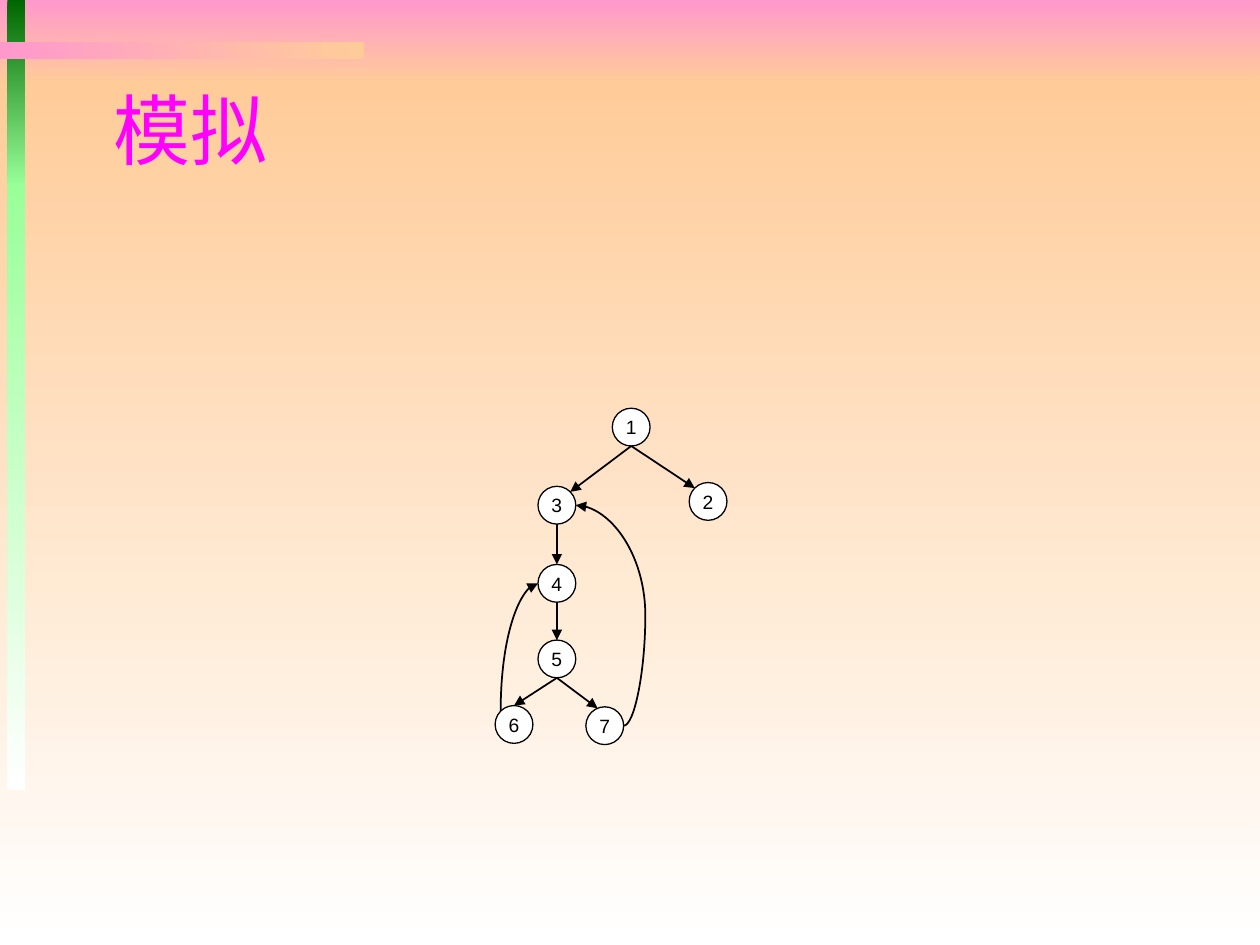
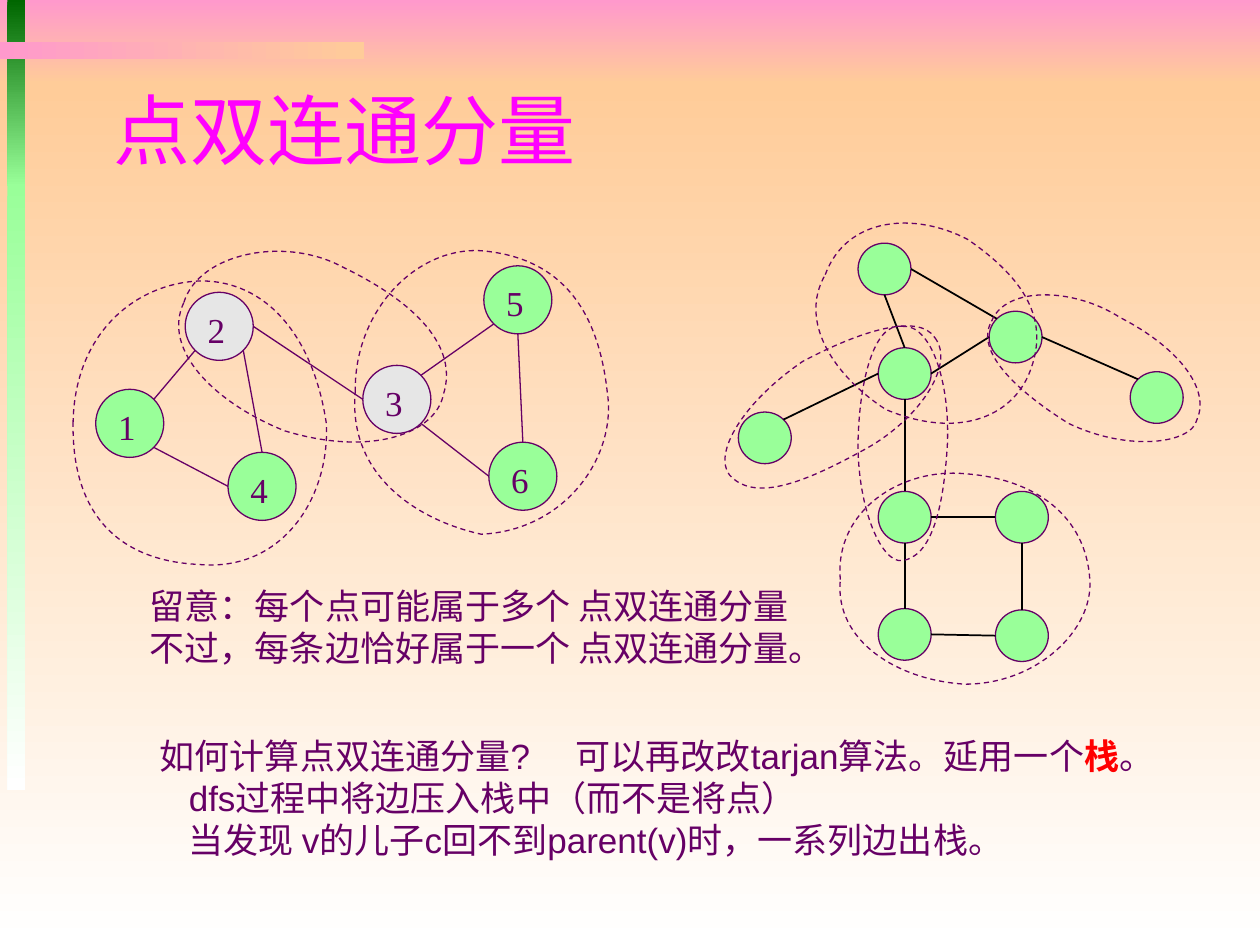
from math import cos, radians, sin

from pptx import Presentation
from pptx.dml.color import RGBColor
from pptx.enum.dml import MSO_LINE
from pptx.enum.shapes import MSO_CONNECTOR, MSO_SHAPE
from pptx.enum.text import MSO_ANCHOR, MSO_AUTO_SIZE, PP_ALIGN
from pptx.oxml.ns import qn
from pptx.oxml.xmlchemy import OxmlElement
from pptx.util import Cm, Pt

STRAIGHT, CURVE = MSO_CONNECTOR.STRAIGHT, MSO_CONNECTOR.CURVE
RECT, OVAL = MSO_SHAPE.RECTANGLE, MSO_SHAPE.OVAL
LEFT, CENTER = PP_ALIGN.LEFT, PP_ALIGN.CENTER
TOP, MIDDLE = MSO_ANCHOR.TOP, MSO_ANCHOR.MIDDLE
DASH, FIT, NO_FIT = MSO_LINE.DASH, MSO_AUTO_SIZE.SHAPE_TO_FIT_TEXT, MSO_AUTO_SIZE.NONE

# Colours
BLACK, WHITE, MAGENTA, RED = "000000", "FFFFFF", "FF00FF", "FF0000"
PURPLE, GREEN, GREY = "660066", "99FF99", "E6E6E6"
PINK, PEACH, DARK_GREEN = "FF99CC", "FFCC99", "006600"

# Content: positions are in grid units of 2.54 cm
BANDS = [  # left, top, width, height, first colour, last colour, angle
    (0, 0, 10, 0.67, PINK, PEACH, 270),
    (0, 0.67, 10, 6.83, PEACH, WHITE, 270),
    (0.06, 0, 0.14, 1.48, DARK_GREEN, GREEN, 270),
    (0.06, 1.46, 0.14, 4.81, GREEN, WHITE, 270),
    (0, 0.33, 2.89, 0.14, PINK, PEACH, 0),
]
TITLE_BOX = (0.8, 0.57, 8.5, 0.9)
TITLE_FONT = dict(size=Pt(44), name="Roboto Condensed")
BODY_FONT = dict(size=Pt(20), name="Arial")

# Node: left, top. Edge: from node, side, to node, side.
SEARCH_TREE = dict(
    size=(0.3, 0.3), outline=BLACK, edge=(BLACK, 1), arrow=True,
    font=dict(size=Pt(11), name="Arial"), ink=BLACK, align=CENTER, anchor=MIDDLE,
    margin=0, fill=WHITE, special={}, labelled=True,
    nodes={"1": (4.86, 3.24), "2": (5.47, 3.83), "3": (4.27, 3.86), "4": (4.27, 4.48),
           "5": (4.27, 5.08), "6": (3.93, 5.6), "7": (4.65, 5.61)},
    edges=["1 S 2 NW", "1 S 3 NE", "3 S 4 N", "4 S 5 N", "5 S 6 N", "5 S 7 NNW"],
)
NUMBERED_GRAPH = dict(
    size=(0.54, 0.54), outline=PURPLE, edge=(PURPLE, 0.75), arrow=False,
    font=dict(size=Pt(20), name="Times New Roman"), ink=PURPLE, align=LEFT, anchor=TOP,
    margin=0.1, fill=GREEN, special={"2": GREY, "3": GREY}, labelled=True,
    nodes={"1": (0.76, 3.09), "2": (1.47, 2.32), "3": (2.88, 2.9), "4": (1.81, 3.59),
           "5": (3.84, 2.11), "6": (3.88, 3.51)},
    edges=["1 NE 2 SW", "1 SE 4 W", "2 SE 4 N", "5 S 6 N", "5 SW 3 NE", "6 W 3 SE",
           "3 W 2 E"],
)
PLAIN_GRAPH = dict(
    NUMBERED_GRAPH, size=(0.42, 0.41), edge=(BLACK, 1), special={}, labelled=False,
    nodes={"top": (6.81, 1.93), "right": (7.85, 2.47), "hub": (6.97, 2.76),
           "left": (5.86, 3.27), "far": (8.97, 2.95), "nw": (6.97, 3.9),
           "ne": (7.9, 3.9), "sw": (6.97, 4.83), "se": (7.9, 4.84)},
    edges=["top S hub N", "top E right NW", "right W hub E", "left NE hub W",
           "right E far NW", "hub S nw N", "nw E ne W", "sw N nw S", "ne S se N",
           "se W sw E"],
)

# Each component outline: start point, then three points for every curve
COMPONENTS = [
    [(0.58, 3.36), (0.59, 2.63), (1.09, 2.25), (1.58, 2.23), (2.12, 2.22), (2.49, 2.68),
     (2.59, 3.36), (2.62, 3.95), (2.24, 4.54), (1.58, 4.48), (0.93, 4.45), (0.57, 4.07),
     (0.58, 3.36)],
    [(2.82, 3.11), (2.81, 2.47), (3.3, 1.96), (3.82, 1.99), (4.4, 2.04), (4.74, 2.39),
     (4.82, 3.11), (4.9, 3.62), (4.49, 4.21), (3.82, 4.24), (3.32, 4.13), (2.76, 3.78),
     (2.82, 3.11)],
    [(1.46, 2.4), (1.58, 2.01), (2.26, 1.87), (2.72, 2.12), (3.3, 2.4), (3.64, 2.75),
     (3.52, 3.13), (3.46, 3.44), (2.95, 3.63), (2.26, 3.42), (1.71, 3.2), (1.28, 2.78),
     (1.46, 2.4)],
    [(7.87, 2.55), (7.98, 2.27), (8.52, 2.28), (8.89, 2.52), (9.34, 2.75), (9.61, 3.08),
     (9.5, 3.33), (9.46, 3.52), (8.96, 3.59), (8.48, 3.36), (8.08, 3.11), (7.73, 2.79),
     (7.87, 2.55)],
    [(6.55, 2.18), (6.72, 1.72), (7.26, 1.68), (7.68, 1.9), (8.13, 2.21), (8.34, 2.54),
     (8.17, 2.96), (8.03, 3.31), (7.6, 3.49), (7.03, 3.25), (6.63, 2.99), (6.33, 2.56),
     (6.55, 2.18)],
    [(6.67, 4.6), (6.62, 4.05), (7.16, 3.71), (7.66, 3.76), (8.22, 3.8), (8.62, 4.1),
     (8.65, 4.6), (8.68, 5), (8.23, 5.43), (7.66, 5.43), (7.13, 5.4), (6.62, 5.09),
     (6.67, 4.6)],
    [(7.42, 2.68), (7.59, 2.9), (7.28, 3.35), (6.84, 3.58), (6.35, 3.85), (5.98, 3.98),
     (5.79, 3.77), (5.66, 3.6), (5.89, 3.2), (6.37, 2.87), (6.82, 2.63), (7.29, 2.48),
     (7.42, 2.68)],
    [(7.16, 2.59), (7.39, 2.57), (7.54, 3.03), (7.52, 3.52), (7.49, 4.05), (7.39, 4.42),
     (7.16, 4.45), (7, 4.47), (6.81, 4.05), (6.81, 3.52), (6.82, 3.01), (6.94, 2.56),
     (7.16, 2.59)],
]

# Note: box, then lines of (indent, tab stop, runs)
NOTES = [
    ((1.09, 4.59, 5.49, 0.77), [
        (0, 0, [("留意：每个点可能属于多个 点双连通分量", {})]),
        (0, 0, [("不过，每条边恰好属于一个 点双连通分量。", {})]),
    ]),
    ((1.17, 5.78, 8.29, 1.11), [
        (0, 3.3, [("如何计算点双连通分量?\t可以再改改tarjan算法。延用一个", {}),
                  ("栈", dict(ink=RED, bold=True)), ("。", {})]),
        (0.23, 0, [("dfs过程中将边压入栈中（而不是将点）", {})]),
        (0.23, 0, [("当发现 v的儿子c回不到parent(v)时，一系列边出栈。", {})]),
    ]),
]

SIDES = ["E", "ESE", "SE", "SSE", "S", "SSW", "SW", "WSW",
         "W", "WNW", "NW", "NNW", "N", "NNE", "NE", "ENE"]


def grid(*values):
    return [Cm(2.54 * value) for value in values]


def rgb(colour):
    return RGBColor.from_string(colour)


def put(target, **values):
    for key, value in values.items():
        setattr(target, key, value)


def set_font(font, ink, **values):
    put(font, **values)
    font.color.rgb = rgb(ink)


def set_line(line, colour, width):
    line.color.rgb = rgb(colour)
    line.width = Pt(width)


def add_bands(slide):
    """Draw the bands and move them to the layout, behind its placeholders."""
    layout_tree = slide.slide_layout.shapes.element
    for i, (*box, first, last, angle) in enumerate(BANDS):
        band = slide.shapes.add_shape(RECT, *grid(*box))
        band.shadow.inherit = False
        band.line.fill.background()
        band.fill.gradient()
        band.fill.gradient_angle = angle
        for stop, colour in zip(band.fill.gradient_stops, (first, last)):
            stop.color.rgb = rgb(colour)
        band.element.nvSpPr.cNvPr.id = 100 + i
        layout_tree.insert(2 + i, band.element)


def add_titled_slide(deck, heading):
    slide = deck.slides.add_slide(deck.slide_layouts[5])
    title = slide.shapes.title
    put(title, **dict(zip(("left", "top", "width", "height"), grid(*TITLE_BOX))))
    frame = title.text_frame
    frame.text = heading
    put(frame, vertical_anchor=MIDDLE, auto_size=NO_FIT)
    frame.paragraphs[0].alignment = LEFT
    set_font(frame.paragraphs[0].runs[0].font, MAGENTA, **TITLE_FONT)
    return slide


def side_point(graph, node, side):
    """Point on the rim of a node, by compass side."""
    (left, top), (width, height) = graph["nodes"][node], graph["size"]
    angle = radians(22.5 * SIDES.index(side))
    return left + width / 2 * (1 + cos(angle)), top + height / 2 * (1 + sin(angle))


def add_edge(slide, graph, start, end, kind=STRAIGHT):
    edge = slide.shapes.add_connector(kind, *grid(*start, *end))
    set_line(edge.line, *graph["edge"])
    properties = edge.element.spPr
    if graph["arrow"]:
        tail = OxmlElement("a:tailEnd")
        tail.set("type", "triangle")
        properties.find(qn("a:ln")).append(tail)
    properties.append(OxmlElement("a:effectLst"))
    return properties


def add_graph(slide, graph):
    for name, corner in graph["nodes"].items():
        node = slide.shapes.add_shape(OVAL, *grid(*corner, *graph["size"]))
        node.shadow.inherit = False
        node.fill.solid()
        node.fill.fore_color.rgb = rgb(graph["special"].get(name, graph["fill"]))
        set_line(node.line, graph["outline"], 0.75)
        if graph["labelled"]:
            side, end = grid(graph["margin"], graph["margin"] / 2)
            frame = node.text_frame
            put(frame, text=name, vertical_anchor=graph["anchor"], margin_left=side,
                margin_right=side, margin_top=end, margin_bottom=end)
            label = frame.paragraphs[0]
            label.alignment = graph["align"]
            set_font(label.runs[0].font, graph["ink"], **graph["font"])
    for edge in graph["edges"]:
        source, out, target, into = edge.split()
        add_edge(slide, graph, side_point(graph, source, out),
                 side_point(graph, target, into))


def add_back_edges(slide, graph):
    # 7 to 3: bulges to the right
    wide = add_edge(slide, graph, side_point(graph, "7", "E"),
                    side_point(graph, "3", "E"), CURVE)
    bulge = OxmlElement("a:gd")
    bulge.set("name", "adj1")
    bulge.set("fmla", "val -45300")
    wide.find(qn("a:prstGeom")).get_or_add_avLst().append(bulge)

    # 6 to 4: a quarter bend, laid flat and then turned by 90 degrees
    (x1, y1), (x2, y2) = side_point(graph, "6", "NW"), side_point(graph, "4", "W")
    mid_x, mid_y = (x1 + x2) / 2, (y1 + y2) / 2
    half_w, half_h = (y1 - y2) / 2, (x2 - x1) / 2
    bend = add_edge(slide, graph, (mid_x + half_w, mid_y + half_h),
                    (mid_x - half_w, mid_y - half_h), CURVE)
    bend.find(qn("a:xfrm")).set("rot", str(90 * 60000))
    bend.find(qn("a:prstGeom")).set("prst", "curvedConnector2")


def add_component(slide, points):
    start, *rest = [grid(*point) for point in points]
    builder = slide.shapes.build_freeform(*start)
    builder.add_line_segments(rest, close=True)
    outline = builder.convert_to_shape()
    outline.shadow.inherit = False
    outline.fill.background()
    set_line(outline.line, PURPLE, 0.75)
    outline.line.dash_style = DASH
    # Every three segments become one Bezier curve
    segments = list(outline.element.iter(qn("a:lnTo")))
    for i in range(0, len(segments), 3):
        curve = OxmlElement("a:cubicBezTo")
        segments[i].addprevious(curve)
        for segment in segments[i:i + 3]:
            curve.append(segment[0])
            segment.getparent().remove(segment)


def add_note(slide, box, lines):
    frame = slide.shapes.add_textbox(*grid(*box)).text_frame
    put(frame, word_wrap=True, auto_size=FIT)
    for i, (indent, tab_stop, runs) in enumerate(lines):
        line = frame.add_paragraph() if i else frame.paragraphs[0]
        properties = line._p.get_or_add_pPr()
        properties.set("marL", str(grid(indent)[0]))
        if tab_stop:
            tabs, tab = OxmlElement("a:tabLst"), OxmlElement("a:tab")
            tab.set("pos", str(grid(tab_stop)[0]))
            tab.set("algn", "l")
            tabs.append(tab)
            properties.append(tabs)
        for text, change in runs:
            run = line.add_run()
            run.text = text
            set_font(run.font, **{"ink": PURPLE, **BODY_FONT, **change})


def main():
    deck = Presentation()
    deck.slide_width, deck.slide_height = grid(10, 7.5)

    simulation = add_titled_slide(deck, "模拟")
    add_bands(simulation)
    add_graph(simulation, SEARCH_TREE)
    add_back_edges(simulation, SEARCH_TREE)

    biconnected = add_titled_slide(deck, "点双连通分量")
    for graph in (NUMBERED_GRAPH, PLAIN_GRAPH):
        add_graph(biconnected, graph)
    for points in COMPONENTS:
        add_component(biconnected, points)
    for box, lines in NOTES:
        add_note(biconnected, box, lines)

    deck.save("out.pptx")


if __name__ == "__main__":
    main()
